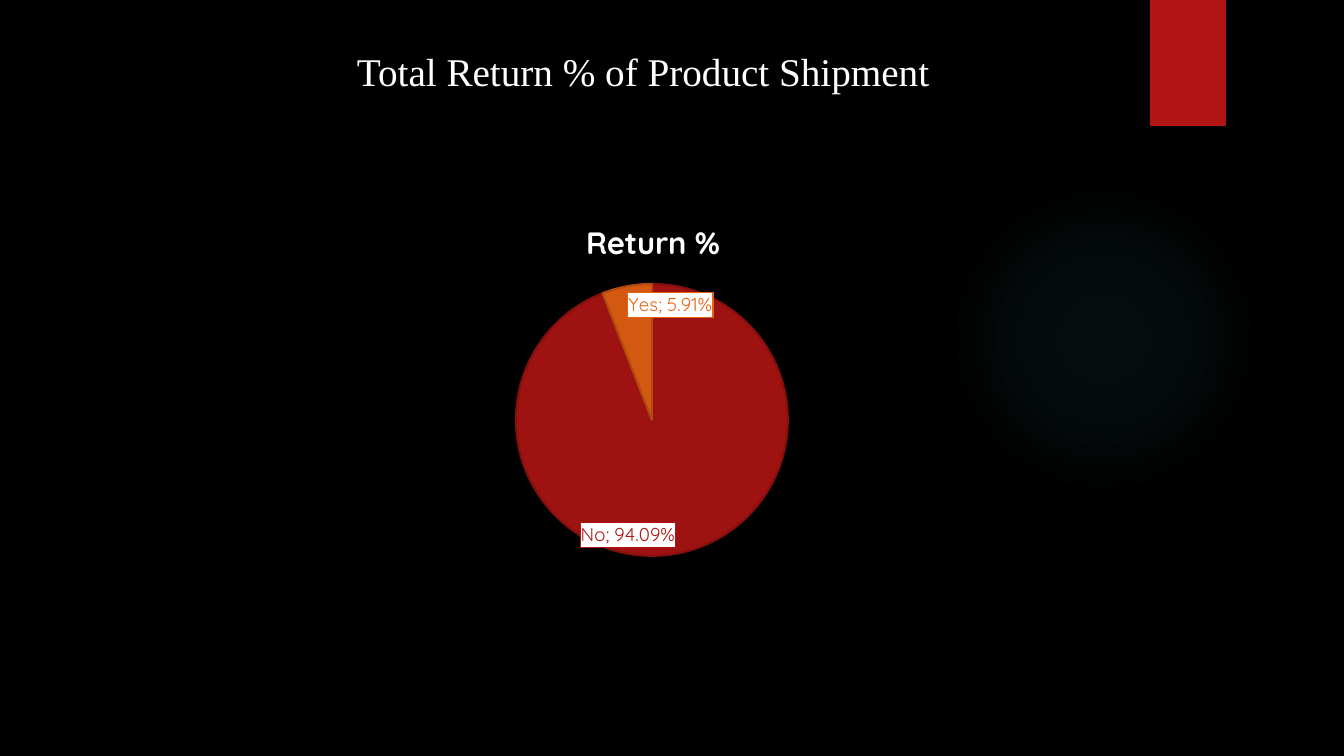
from lxml.etree import SubElement
from pptx import Presentation
from pptx.chart.data import CategoryChartData
from pptx.dml.color import RGBColor
from pptx.enum.chart import XL_CHART_TYPE, XL_LABEL_POSITION
from pptx.enum.shapes import MSO_SHAPE
from pptx.enum.text import MSO_AUTO_SIZE
from pptx.oxml import parse_xml
from pptx.oxml.ns import nsdecls, qn
from pptx.util import Pt

EMU_PER_PX = 914400 / 100.8
BLACK = RGBColor(0x00, 0x00, 0x00)
WHITE = RGBColor(0xFF, 0xFF, 0xFF)
RED = RGBColor(0xB0, 0x15, 0x13)
DARK_RED = RGBColor(0x84, 0x10, 0x0E)
ORANGE = RGBColor(0xEA, 0x63, 0x12)
DARK_ORANGE = RGBColor(0xB0, 0x4A, 0x0E)
TEAL = RGBColor(0x50, 0xB9, 0xC1)
GLOW_STOPS = [(0, 7), (36, 6), (69, 0)]
RETURNS = [("No", 0.9409, RED, DARK_RED), ("Yes", 0.0591, ORANGE, DARK_ORANGE)]


def px(*lengths):
    """Turn pixel lengths into EMU."""
    return [round(length * EMU_PER_PX) for length in lengths]


def add_plain_shape(slide, kind, box):
    """Add a shape without outline or shadow."""
    shape = slide.shapes.add_shape(kind, *px(*box))
    shape.shadow.inherit = False
    shape.line.fill.background()
    return shape


def add_decoration(slide, glow_box, ribbon_box):
    """Add the faint round glow and the red ribbon."""
    glow = add_plain_shape(slide, MSO_SHAPE.OVAL, glow_box)
    stops = "".join(
        f'<a:gs pos="{position * 1000}"><a:srgbClr val="{TEAL}">'
        f'<a:alpha val="{alpha * 1000}"/></a:srgbClr></a:gs>'
        for position, alpha in GLOW_STOPS
    )
    gradient = parse_xml(
        f'<a:gradFill {nsdecls("a")}><a:gsLst>{stops}</a:gsLst><a:path path="circle">'
        '<a:fillToRect l="50000" t="50000" r="50000" b="50000"/></a:path></a:gradFill>'
    )
    glow.element.spPr.find(qn("a:prstGeom")).addnext(gradient)
    ribbon = add_plain_shape(slide, MSO_SHAPE.RECTANGLE, ribbon_box)
    ribbon.fill.solid()
    ribbon.fill.fore_color.rgb = RED


def add_heading(slide, box):
    """Add the slide heading."""
    frame = slide.shapes.add_textbox(*px(*box)).text_frame
    frame.word_wrap = True
    frame.auto_size = MSO_AUTO_SIZE.SHAPE_TO_FIT_TEXT
    paragraph = frame.paragraphs[0]
    paragraph.text = "Total Return % of Product Shipment"
    paragraph.font.name = "Times New Roman"
    paragraph.font.size = Pt(28)
    paragraph.font.color.rgb = WHITE


def style_point(point, color, edge):
    """Colour one slice and its label text."""
    point.format.fill.solid()
    point.format.fill.fore_color.rgb = color
    slice_color = point.format.fill._xPr.find(qn("a:solidFill"))[0]
    SubElement(slice_color, qn("a:alpha"), val="90000")
    point.format.line.color.rgb = edge
    point.format.line.width = Pt(1.5)
    label = point.data_label
    label.font.name = "Quicksand"
    label.font.size = Pt(13.3)
    label.font.color.rgb = color
    label.position = XL_LABEL_POSITION.INSIDE_END


def box_label(label, color):
    """Show category and value of a slice in a white outlined box."""
    label.find(qn("c:txPr")).addprevious(parse_xml(
        f'<c:numFmt {nsdecls("c")} formatCode="0.00%" sourceLinked="0"/>'))
    label.find(qn("c:txPr")).addprevious(parse_xml(
        f'<c:spPr {nsdecls("c", "a")}><a:solidFill><a:srgbClr val="{WHITE}"/></a:solidFill>'
        f'<a:ln w="9525"><a:solidFill><a:srgbClr val="{color}"/></a:solidFill></a:ln></c:spPr>'))
    label.find(qn("c:showCatName")).set("val", "1")
    SubElement(label, qn("c:separator")).text = "; "


def add_return_chart(slide, box, pie_box):
    """Add the return pie, with pie_box given relative to the chart."""
    data = CategoryChartData(number_format="0.00%")
    data.categories = [name for name, *_ in RETURNS]
    data.add_series("Series 1", [value for _, value, *_ in RETURNS])
    chart = slide.shapes.add_chart(XL_CHART_TYPE.PIE, *px(*box), data).chart
    chart.font.name = "Quicksand"
    chart.font.size = Pt(10)
    chart.font.color.rgb = WHITE
    chart.has_legend = False
    chart.has_title = True
    title = chart.chart_title.text_frame.paragraphs[0]
    title.text = "Return %"
    title.font.name = "Quicksand"
    title.font.size = Pt(22)
    title.font.bold = True
    title.font.color.rgb = WHITE

    plot = chart.plots[0]
    plot.vary_by_categories = True
    series = plot.series[0]
    for index, (_, _, color, edge) in enumerate(RETURNS):
        style_point(series.points[index], color, edge)
    for label, (_, _, color, _) in zip(series._element.xpath(".//c:dLbl"), RETURNS):
        box_label(label, color)

    plot_area = chart._chartSpace.chart.plotArea
    for old_layout in plot_area.findall(qn("c:layout")):
        plot_area.remove(old_layout)
    left, top, width, height = pie_box
    fractions = zip("xywh", (left / box[2], top / box[3], width / box[2], height / box[3]))
    places = "".join(f'<c:{key} val="{value:.4f}"/>' for key, value in fractions)
    plot_area.insert(0, parse_xml(
        f'<c:layout {nsdecls("c")}><c:manualLayout><c:layoutTarget val="inner"/>'
        f'<c:xMode val="edge"/><c:yMode val="edge"/>{places}</c:manualLayout></c:layout>'))


def main():
    """Build and save the presentation."""
    presentation = Presentation()
    presentation.slide_width, presentation.slide_height = px(1344, 756)
    slide = presentation.slides.add_slide(presentation.slide_layouts[6])
    slide.background.fill.solid()
    slide.background.fill.fore_color.rgb = BLACK
    add_decoration(slide, (949, 184, 310, 310), (1150, 0, 76, 126))
    add_return_chart(slide, (357, 202, 592, 368), (159, 82, 272, 272))
    add_heading(slide, (347, 42, 680, 57))
    presentation.save("out.pptx")


if __name__ == "__main__":
    main()
